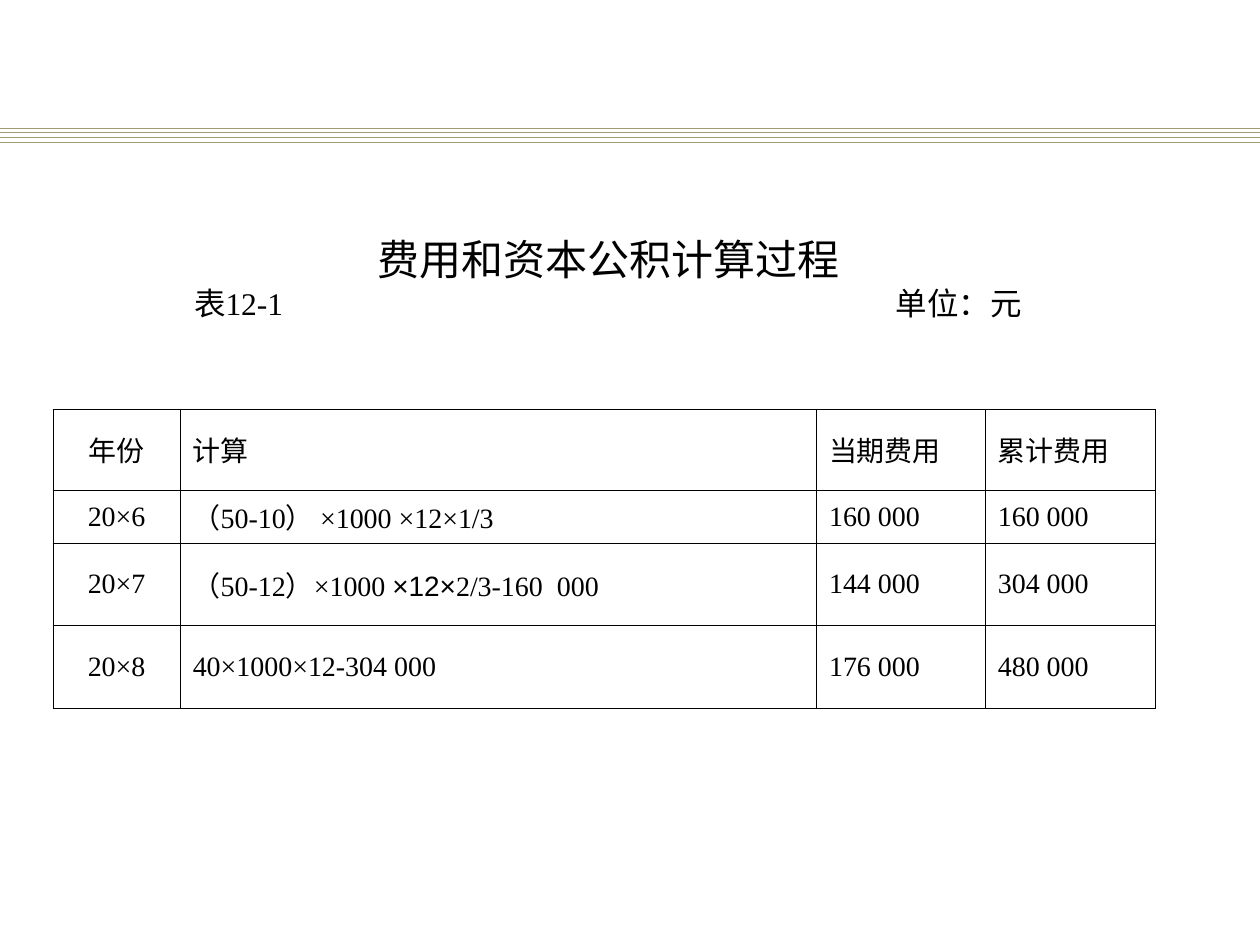
from lxml import etree
from pptx import Presentation
from pptx.dml.color import RGBColor
from pptx.enum.shapes import MSO_CONNECTOR
from pptx.enum.text import MSO_ANCHOR, MSO_AUTO_SIZE, PP_ALIGN
from pptx.oxml.ns import qn
from pptx.util import Inches, Pt

BLACK = RGBColor(0x00, 0x00, 0x00)
KHAKI = RGBColor(0xA1, 0x9C, 0x71)
STRAIGHT = MSO_CONNECTOR.STRAIGHT
TOP, MIDDLE = MSO_ANCHOR.TOP, MSO_ANCHOR.MIDDLE
LEFT, CENTER = PP_ALIGN.LEFT, PP_ALIGN.CENTER
NO_AUTOFIT = MSO_AUTO_SIZE.NONE
SERIF, SANS = "Times New Roman", "Arial"

RULE_TOPS = (1.02, 1.05, 1.09, 1.13)
COLUMN_WIDTHS = (1.01, 5.05, 1.34, 1.35)
ROW_HEIGHTS = (0.64, 0.4, 0.65, 0.66)
SANS_PART = "×12×"
ROWS = (
    (("年份",), ("计算",), ("当期费用",), ("累计费用",)),
    (("20×6",), ("（50-10） ×1000 ×12×1/3",), ("160 000",), ("160 000",)),
    (("20×7",), ("（50-12）×1000 ", SANS_PART, "2/3-160  000"), ("144 000",), ("304 000",)),
    (("20×8",), ("40×1000×12-304 000",), ("176 000",), ("480 000",)),
)


def style_run(span, size, font=SERIF):
    """Give a run its font, size and colour."""
    span.font.name = font
    span.font.size = Pt(size)
    span.font.color.rgb = BLACK


def add_rule(slide, top):
    """Draw one thin line across the page."""
    rule = slide.shapes.add_connector(STRAIGHT, 0, Inches(top), Inches(10), Inches(top))
    rule.line.color.rgb = KHAKI
    rule.line.width = Pt(0.75)
    etree.SubElement(rule._element.spPr, qn("a:effectLst"))


def add_right_tab(para, position):
    """Add a right-aligned tab stop to a paragraph."""
    tabs = etree.SubElement(para._p.get_or_add_pPr(), qn("a:tabLst"))
    etree.SubElement(tabs, qn("a:tab"), pos=str(Inches(position)), algn="r")


def fill_title(box):
    """Place the heading with the table number and unit below it."""
    box.left, box.top, box.width, box.height = map(Inches, (0.83, 1.8, 8, 1.1))
    frame = box.text_frame
    frame.auto_size = NO_AUTOFIT
    frame.word_wrap = True
    frame.vertical_anchor = TOP
    frame.margin_left = frame.margin_right = Inches(0.71)
    frame.text = "费用和资本公积计算过程"
    heading, caption = frame.paragraphs[0], frame.add_paragraph()
    heading.alignment, caption.alignment = CENTER, LEFT
    add_right_tab(caption, 6.57)
    caption.text = "表12-1\t单位：元"
    for para, size in ((heading, 24), (caption, 18)):
        for span in para.runs:
            style_run(span, size)


def add_borders(cell):
    """Draw a thin black line on each side of a cell."""
    properties = cell._tc.get_or_add_tcPr()
    for side in ("a:lnL", "a:lnR", "a:lnT", "a:lnB"):
        line = etree.SubElement(properties, qn(side), w=str(Pt(0.34)))
        fill = etree.SubElement(line, qn("a:solidFill"))
        etree.SubElement(fill, qn("a:srgbClr"), val=str(BLACK))


def fill_cell(cell, parts, alignment):
    """Write the text parts into a bordered, unfilled cell."""
    add_borders(cell)
    cell.fill.background()
    cell.vertical_anchor = MIDDLE
    para = cell.text_frame.paragraphs[0]
    para.alignment = alignment
    for part in parts:
        span = para.add_run()
        span.text = part
        style_run(span, 16, SANS if part == SANS_PART else SERIF)


def add_cost_table(slide):
    """Add the table of yearly and cumulative costs."""
    table = slide.shapes.add_table(
        len(ROWS), len(COLUMN_WIDTHS), Inches(0.42), Inches(3.25),
        Inches(sum(COLUMN_WIDTHS)), Inches(sum(ROW_HEIGHTS))).table
    table.first_row = table.horz_banding = False
    for column, width in zip(table.columns, COLUMN_WIDTHS):
        column.width = Inches(width)
    for row, height, texts in zip(table.rows, ROW_HEIGHTS, ROWS):
        row.height = Inches(height)
        for index, parts in enumerate(texts):
            fill_cell(row.cells[index], parts, LEFT if index else CENTER)


def main():
    """Build and save the deck."""
    deck = Presentation()
    deck.slide_width, deck.slide_height = Inches(10), Inches(7.5)
    page = deck.slides.add_slide(deck.slide_layouts[5])
    for top in RULE_TOPS:
        add_rule(page, top)
    fill_title(page.shapes.title)
    add_cost_table(page)
    deck.save("out.pptx")


if __name__ == "__main__":
    main()
